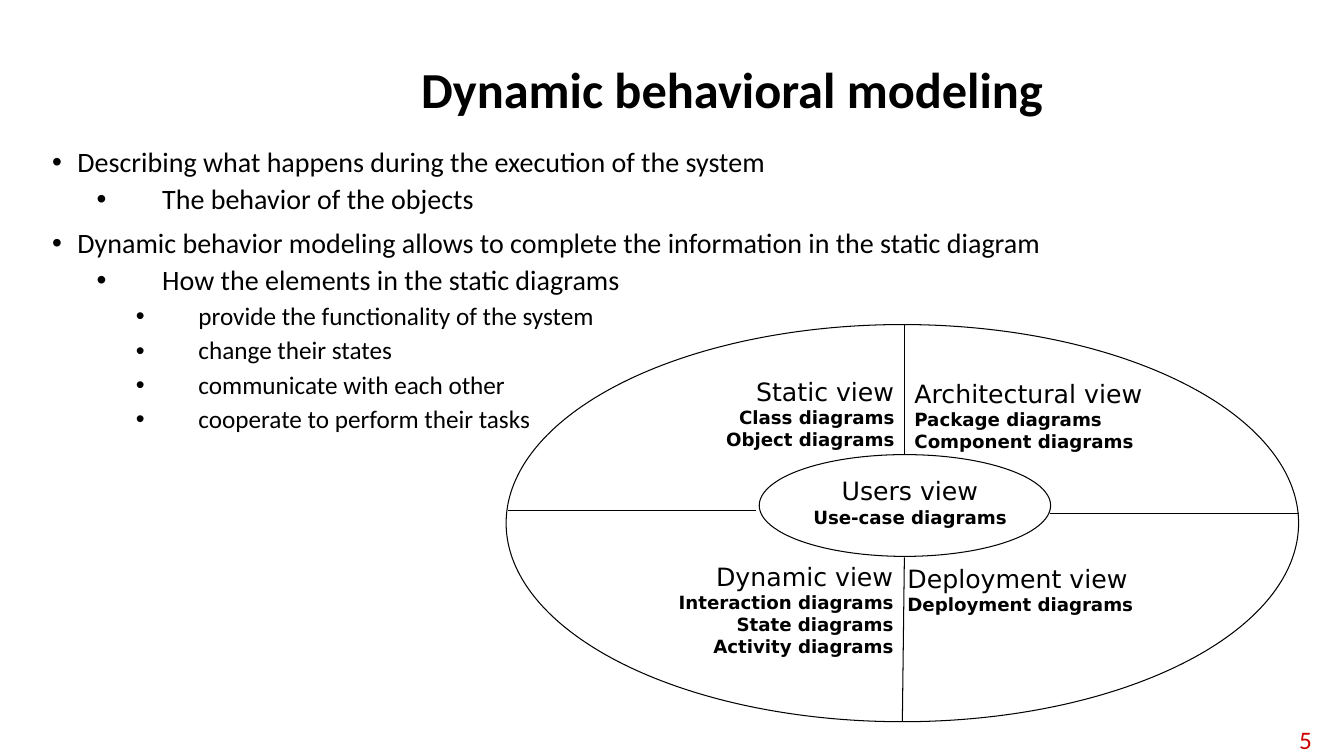
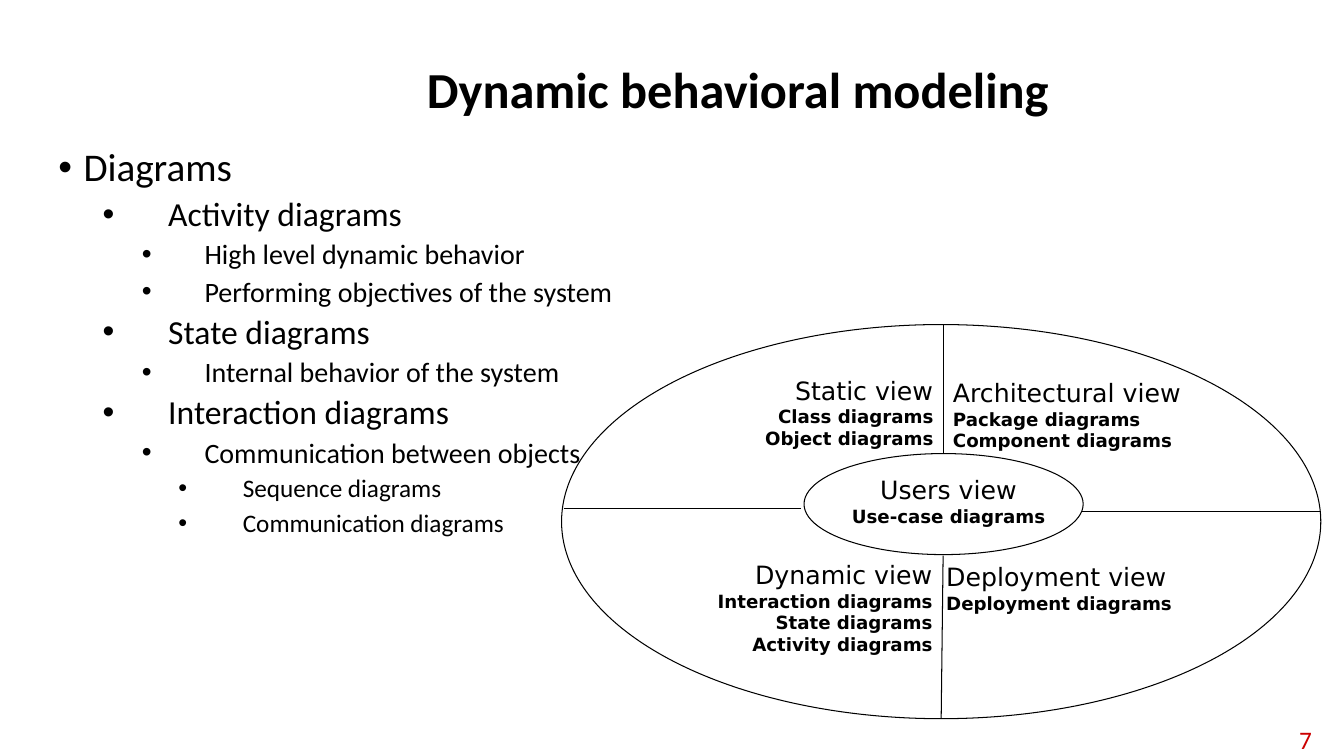
from lxml import etree
from pptx import Presentation
from pptx.dml.color import RGBColor
from pptx.enum.shapes import MSO_CONNECTOR, MSO_SHAPE
from pptx.enum.text import MSO_ANCHOR, MSO_AUTO_SIZE, PP_ALIGN
from pptx.oxml.ns import qn
from pptx.util import Inches, Pt

LEFT, CENTER, RIGHT = PP_ALIGN.LEFT, PP_ALIGN.CENTER, PP_ALIGN.RIGHT
TOP, MIDDLE = MSO_ANCHOR.TOP, MSO_ANCHOR.MIDDLE
GROW, FIXED = MSO_AUTO_SIZE.SHAPE_TO_FIT_TEXT, MSO_AUTO_SIZE.NONE
OVAL, STRAIGHT = MSO_SHAPE.OVAL, MSO_CONNECTOR.STRAIGHT

COLORS = {"ink": "000000", "number": "CC0000"}
BODY_FONT, VIEW_FONT = "Calibri", "DejaVu Sans"
SLIDE_SIZE = (13.33, 7.5)
TITLE_AREA = (2.23, 0.4, 10.18, 1.02)
NUMBER_AREA = (12.42, 7.16, 0.69, 0.36)
INDENTS = [(0.25, -0.25), (1.09, -0.65), (1.45, -0.62), (1.83, -0.64)]

SLIDES = [
    {
        "title": "Dynamic behavioral modeling ",
        "number": "5",
        "body_area": (0.42, 1.42, 12, 5.17),
        "level_sizes": (20, 20, 18),
        "diagram_area": (5.02, 3.22, 7.86, 3.94),
        "bullets": [
            (0, "Describing what happens during the execution of the system"),
            (1, "The behavior of the objects"),
            (0, "Dynamic behavior modeling allows to complete the information in the static diagram"),
            (1, "How the elements in the static diagrams"),
            (2, "provide the functionality of the system"),
            (2, "change their states"),
            (2, "communicate with each other"),
            (2, "cooperate to perform their tasks"),
        ],
    },
    {
        "title": "Dynamic behavioral modeling",
        "number": "7",
        "body_area": (0.48, 1.42, 12.48, 5.17),
        "level_sizes": (28, 24, 20, 18),
        "diagram_area": (5.57, 3.22, 7.53, 3.91),
        "bullets": [
            (0, "Diagrams"),
            (1, "Activity diagrams"),
            (2, "High level dynamic behavior"),
            (2, "Performing objectives of the system"),
            (1, "State diagrams"),
            (2, "Internal behavior of the system"),
            (1, "Interaction diagrams"),
            (2, "Communication between objects"),
            (3, "Sequence diagrams"),
            (3, "Communication diagrams"),
        ],
    },
]

DIAGRAM_SIZE = (7.86, 3.94)
OVALS = [(0, 0, *DIAGRAM_SIZE), (2.51, 1.29, 2.89, 1.01)]
DIVIDERS = [
    (3.95, 0, 3.95, 1.29),
    (3.95, 2.31, 3.93, 3.94),
    (0.02, 1.84, 2.48, 1.84),
    (5.39, 1.87, 7.86, 1.87),
]
VIEWS = [
    ((2.04, 0.46, 1.86, 1.05), RIGHT, "Static view", ["Class diagrams", "Object diagrams"]),
    ((3.93, 2.32, 2.45, 0.78), LEFT, "Deployment view", ["Deployment diagrams"]),
    ((1.52, 2.3, 2.37, 1.33), RIGHT, "Dynamic view",
     ["Interaction diagrams", "State diagrams", "Activity diagrams"]),
    ((2.94, 1.45, 2.13, 0.78), CENTER, "Users view", ["Use-case diagrams"]),
    ((4, 0.48, 2.47, 1.05), LEFT, "Architectural view", ["Package diagrams", "Component diagrams"]),
]


def rgb(name):
    return RGBColor.from_string(COLORS[name])


def inches(area):
    return [Inches(length) for length in area]


def add_span(para, text, size, font=BODY_FONT, color="ink", bold=False):
    span = para.add_run()
    span.text = text
    span.font.size, span.font.name, span.font.bold = Pt(size), font, bold
    span.font.color.rgb = rgb(color)


def next_para(frame, index, align=LEFT):
    para = frame.add_paragraph() if index else frame.paragraphs[0]
    para.alignment = align
    return para


def set_frame(box, anchor=TOP, wrap=True, fit=FIXED):
    frame = box.text_frame
    frame.word_wrap, frame.auto_size, frame.vertical_anchor = wrap, fit, anchor
    return frame


def add_title(page, text):
    box = page.shapes.title
    box.left, box.top, box.width, box.height = inches(TITLE_AREA)
    para = next_para(set_frame(box, MIDDLE), 0, CENTER)
    para.line_spacing = 0.9
    add_span(para, text, 36, bold=True)


def add_number(page, text):
    box = page.shapes.add_textbox(*inches(NUMBER_AREA))
    add_span(next_para(set_frame(box, MIDDLE), 0, RIGHT), text, 18, color="number")


def add_bullets(page, area, bullets, sizes):
    frame = set_frame(page.shapes.add_textbox(*inches(area)))
    for index, (level, text) in enumerate(bullets):
        para = next_para(frame, index)
        para.level = level
        margin, hanging = inches(INDENTS[level])
        props = para._p.get_or_add_pPr()
        props.set("marL", str(margin))
        props.set("indent", str(hanging))
        etree.SubElement(props, qn("a:buFont")).set("typeface", "Arial")
        etree.SubElement(props, qn("a:buChar")).set("char", "•")
        para.line_spacing = 0.9
        if index:
            para.space_before = Pt(5 if level else 10)
        add_span(para, text, sizes[level])


def set_line(shape):
    shape.line.color.rgb = rgb("ink")
    shape.line.width = Pt(0.75)


def add_diagram(page, area):
    left, top, width, height = area
    across, down = width / DIAGRAM_SIZE[0], height / DIAGRAM_SIZE[1]
    shapes = page.shapes.add_group_shape().shapes

    def scaled(part, origin=(0, 0)):
        x, y, third, fourth = part
        return inches((left + x * across, top + y * down,
                       origin[0] + third * across, origin[1] + fourth * down))

    for part in OVALS:
        oval = shapes.add_shape(OVAL, *scaled(part))
        oval.shadow.inherit = False
        oval.fill.background()
        set_line(oval)
    for part in DIVIDERS:
        divider = shapes.add_connector(STRAIGHT, *scaled(part, (left, top)))
        set_line(divider)
        etree.SubElement(divider._element.spPr, qn("a:effectLst"))
    for part, align, heading, diagrams in VIEWS:
        frame = set_frame(shapes.add_textbox(*scaled(part)), wrap=False, fit=GROW)
        frame.margin_left = frame.margin_right = Inches(0.05)
        frame.margin_top = frame.margin_bottom = Inches(0.05)
        for index, text in enumerate([heading, *diagrams]):
            add_span(next_para(frame, index, align), text,
                     13 if index else 18, VIEW_FONT, bold=index > 0)


def main():
    deck = Presentation()
    deck.slide_width, deck.slide_height = inches(SLIDE_SIZE)
    for content in SLIDES:
        page = deck.slides.add_slide(deck.slide_layouts[5])
        add_number(page, content["number"])
        add_title(page, content["title"])
        add_bullets(page, content["body_area"], content["bullets"], content["level_sizes"])
        add_diagram(page, content["diagram_area"])
    deck.save("out.pptx")


if __name__ == "__main__":
    main()
